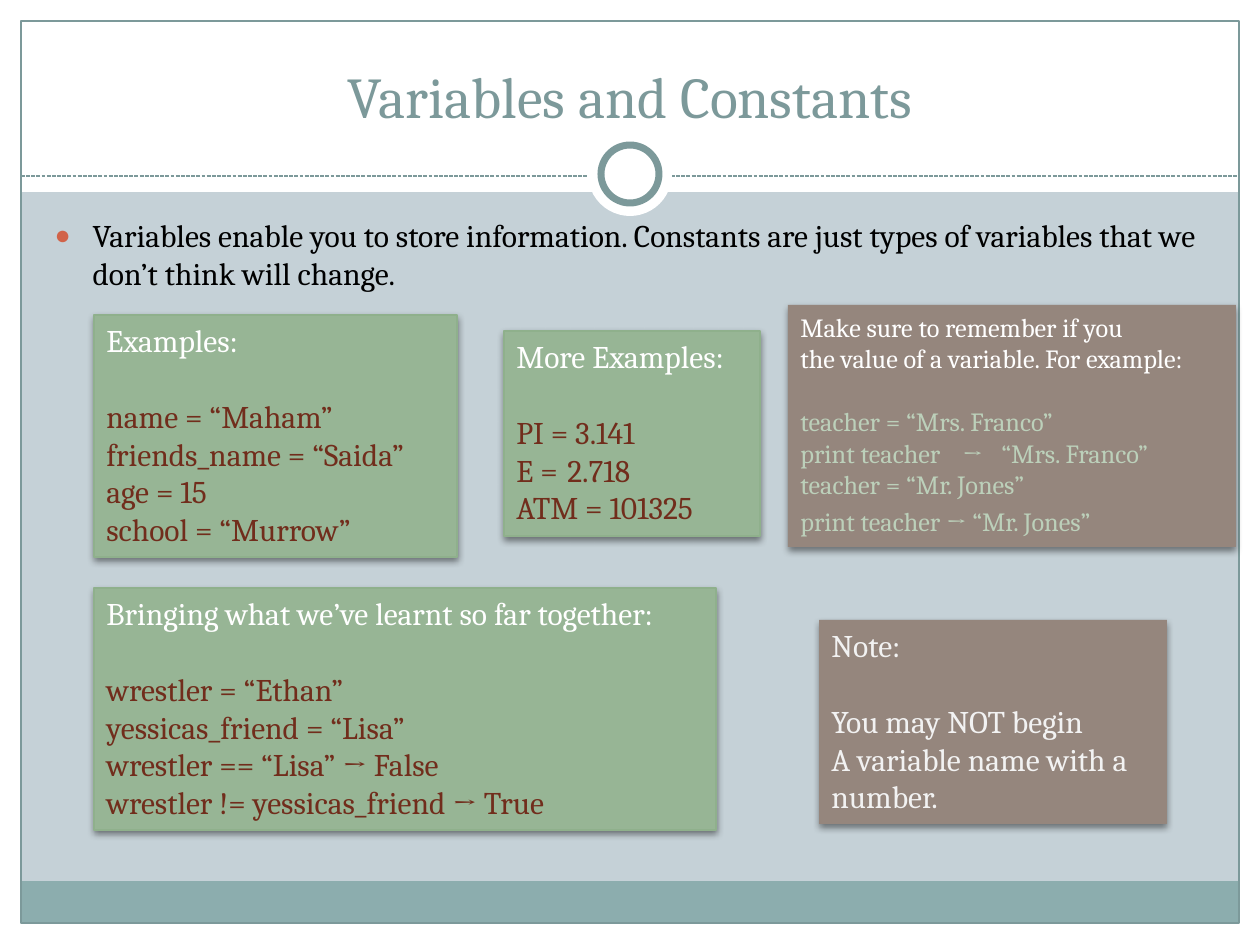
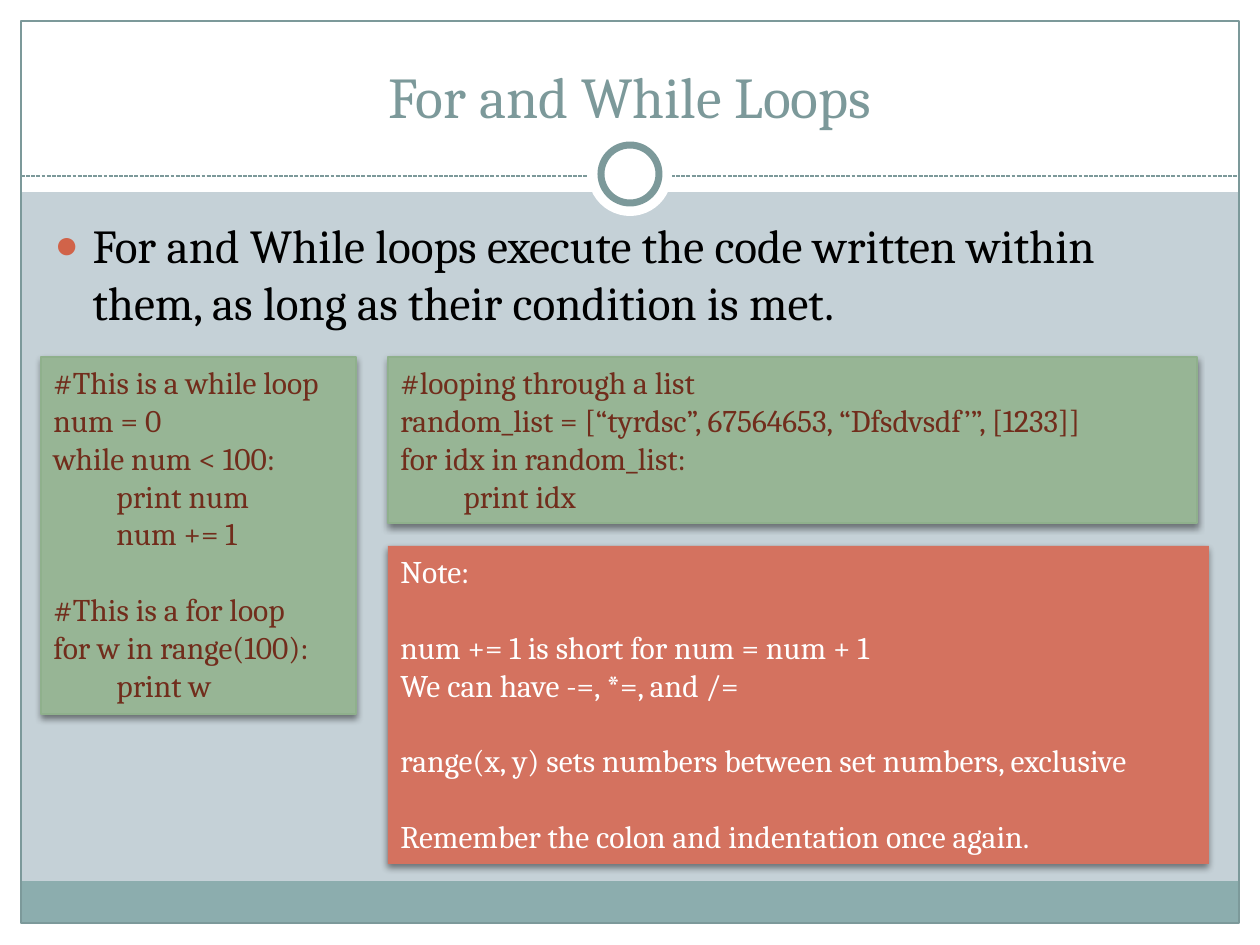
import pptx
import pptx.util
import pptx.dml.color
import pptx.enum.dml
import pptx.enum.shapes
import pptx.enum.text
import lxml.etree

EMU_PER_PX = 914400 / 126
FONT = "Cambria"
LINE_HEIGHT = 1.2

WHITE = "FFFFFF"
BACKGROUND = "C5D1D7"
TEAL = "7C999A"
FOOTER = "8CADAE"
BULLET = "D16349"
CODE = "712D1C"
PALE_CODE = "BCD0BA"

# Box styles: fill, border
GREEN = ("97B595", "8FB08C")
BROWN = ("95867D", None)
RED = ("D4725F", None)

# Layout rectangles and circles: preset, box, fill, line colour, line width
DECORATIONS = [
    ("RECTANGLE", (0, 924, 1260, 21), WHITE, None, 0),
    ("RECTANGLE", (0, 0, 1260, 192), WHITE, None, 0),
    ("RECTANGLE", (0, 0, 21, 945), WHITE, None, 0),
    ("RECTANGLE", (1239, 0, 21, 945), WHITE, None, 0),
    ("RECTANGLE", (21, 881, 1218, 43), FOOTER, None, 0),
    ("RECTANGLE", (21, 21, 1218, 902), None, TEAL, 0.75),
    ("LINE", (21, 176, 1239, 176), None, TEAL, 0.75),
    ("OVAL", (588, 132, 84, 84), WHITE, None, 0),
    ("OVAL", (601, 145, 58, 58), WHITE, TEAL, 4),
]
TITLE_BOX = (42, 32, 1176, 104)
BODY_BOX = (42, 210, 1172, 630)

# Each box holds groups of lines (colour, lines); one empty line parts the groups.
SLIDES = [
    {
        "title": "Variables and Constants",
        "body": "Variables enable you to store information. Constants are just types "
                "of variables that we don’t think will change.",
        "body_size": 18,
        "boxes": [
            {"at": (94, 315, 363, 242), "style": GREEN, "groups": [
                (WHITE, ["Examples:"]),
                (CODE, ["name = “Maham”", "friends_name = “Saida”", "age = 15",
                        "school = “Murrow”"])]},
            {"at": (504, 331, 256, 205), "style": GREEN, "tabs": [51], "groups": [
                (WHITE, ["More Examples:"]),
                (CODE, ["PI = 3.141", "E =\t2.718", "ATM = 101325"])]},
            {"at": (94, 588, 622, 242), "style": GREEN, "groups": [
                (WHITE, ["Bringing what we’ve learnt so far together:"]),
                (CODE, ["wrestler = “Ethan”", "yessicas_friend = “Lisa”",
                        "wrestler == “Lisa” → False",
                        "wrestler != yessicas_friend → True"])]},
            {"at": (819, 620, 348, 204), "style": BROWN, "groups": [
                ("F2F2F2", ["Note:"]),
                ("F2F2F2", ["You may NOT begin", "A variable name with a", "number."])]},
            {"at": (788, 305, 448, 242), "style": BROWN, "size": 15,
             "tabs": [162, 201], "last_gap": 3, "groups": [
                (WHITE, ["Make sure to remember if you",
                         "the value of a variable. For example:"]),
                (PALE_CODE, ["teacher = “Mrs. Franco”",
                             "print teacher\t→\t“Mrs. Franco”",
                             "teacher = “Mr. Jones”",
                             "print teacher → “Mr. Jones”"])]},
        ],
    },
    {
        "title": "For and While Loops",
        "body": "For and While loops execute the code written within them, as long as "
                "their condition is met.",
        "body_size": 27,
        "boxes": [
            {"at": (41, 357, 315, 357), "style": GREEN, "tabs": [63], "groups": [
                (CODE, ["#This is a while loop", "num = 0", "while num < 100:",
                        "\tprint num", "\tnum += 1"]),
                (CODE, ["#This is a for loop", "for w in range(100):", "\tprint w"])]},
            {"at": (388, 357, 809, 166), "style": GREEN, "tabs": [63], "groups": [
                (CODE, ["#looping through a list",
                        "random_list = [“tyrdsc”, 67564653, “Dfsdvsdf’”, [1233]]",
                        "for idx in random_list:", "\tprint idx"])]},
            {"at": (388, 546, 821, 318), "style": RED, "groups": [
                (WHITE, ["Note:"]),
                (WHITE, ["num += 1 is short for num = num + 1",
                         "We can have -=, *=, and /="]),
                (WHITE, ["range(x, y) sets numbers between set numbers, exclusive"]),
                (WHITE, ["Remember the colon and indentation once again."])]},
        ],
    },
]


def px(length):
    return pptx.util.Emu(round(length * EMU_PER_PX))


def rgb(code):
    return pptx.dml.color.RGBColor.from_string(code)


def add_xml(parent, tag, **attributes):
    name = pptx.oxml.ns.qn("a:" + tag)
    values = {key: str(value) for key, value in attributes.items()}
    return lxml.etree.SubElement(parent, name, values)


def paint(shape, fill, line, width=0.75):
    if fill:
        shape.fill.solid()
        shape.fill.fore_color.rgb = rgb(fill)
    else:
        shape.fill.background()
    if line:
        shape.line.color.rgb = rgb(line)
        shape.line.width = pptx.util.Pt(width)
    else:
        shape.line.fill.background()


def place(shape, box):
    shape.left, shape.top, shape.width, shape.height = map(px, box)


def write(paragraph, text, *, size, color, before=0, align="LEFT", tabs=(), bullet=None):
    paragraph.alignment = getattr(pptx.enum.text.PP_ALIGN, align)
    paragraph.space_before = pptx.util.Pt(before)
    properties = paragraph._p.get_or_add_pPr()
    if bullet:
        properties.set("marL", str(px(38)))
        properties.set("indent", str(px(-38)))
        add_xml(add_xml(properties, "buClr"), "srgbClr", val=BULLET)
        add_xml(properties, "buSzPct", val=85000)
        add_xml(properties, "buChar", char=bullet)
    if tabs:
        stops = add_xml(properties, "tabLst")
        for stop in tabs:
            add_xml(stops, "tab", pos=px(stop), algn="l")
    run = paragraph.add_run()
    run.text = text
    run.font.name = FONT
    run.font.size = pptx.util.Pt(size)
    run.font.color.rgb = rgb(color)


def decorate(layout, slide):
    """Draw the shared frame with the slide's shape tools, then move it to the layout."""
    layout.background.fill.solid()
    layout.background.fill.fore_color.rgb = rgb(BACKGROUND)
    for position, (preset, box, fill, line, width) in enumerate(DECORATIONS):
        if preset == "LINE":
            shape = slide.shapes.add_connector(
                pptx.enum.shapes.MSO_CONNECTOR.STRAIGHT, *map(px, box))
            shape.line.color.rgb = rgb(line)
            shape.line.width = pptx.util.Pt(width)
            shape.line.dash_style = pptx.enum.dml.MSO_LINE.SQUARE_DOT
            add_xml(shape.element.spPr, "effectLst")
        else:
            kind = getattr(pptx.enum.shapes.MSO_SHAPE, preset)
            shape = slide.shapes.add_shape(kind, *map(px, box))
            paint(shape, fill, line, width)
            shape.shadow.inherit = False
        layout.shapes.element.insert(2 + position, shape.element)
    for placeholder in layout.placeholders:
        index = placeholder.placeholder_format.idx
        if index in (0, 1):
            place(placeholder, (TITLE_BOX, BODY_BOX)[index])


def add_box(slide, box):
    shape = slide.shapes.add_textbox(*map(px, box["at"]))
    paint(shape, *box["style"])
    shadow = add_xml(add_xml(shape.element.spPr, "effectLst"), "outerShdw",
                     blurRad=pptx.util.Pt(4), dist=pptx.util.Pt(2), dir=5400000,
                     algn="ctr", rotWithShape=0)
    add_xml(add_xml(shadow, "srgbClr", val="000000"), "alpha", val=45000)

    frame = shape.text_frame
    frame.word_wrap = True
    size = box.get("size", 18)
    lines = [(text, color, size * LINE_HEIGHT if group and not row else 0)
             for group, (color, texts) in enumerate(box["groups"])
             for row, text in enumerate(texts)]
    for number, (text, color, before) in enumerate(lines):
        paragraph = frame.add_paragraph() if number else frame.paragraphs[0]
        if number == len(lines) - 1:
            before += box.get("last_gap", 0)
        write(paragraph, text, size=size, color=color, before=before,
              tabs=box.get("tabs", ()) if "\t" in text else ())


def fill_slide(slide, content):
    title = slide.shapes.title.text_frame
    title.vertical_anchor = pptx.enum.text.MSO_ANCHOR.BOTTOM
    write(title.paragraphs[0], content["title"], size=33, color=TEAL, align="CENTER")
    body = slide.placeholders[1].text_frame
    write(body.paragraphs[0], content["body"], size=content["body_size"],
          color="000000", bullet="●")
    for frame in (title, body):
        frame.auto_size = pptx.enum.text.MSO_AUTO_SIZE.NONE
    for box in content["boxes"]:
        add_box(slide, box)


def main():
    presentation = pptx.Presentation()
    presentation.slide_width, presentation.slide_height = px(1260), px(945)
    layout = presentation.slide_layouts[1]
    for number, content in enumerate(SLIDES):
        slide = presentation.slides.add_slide(layout)
        if number == 0:
            decorate(layout, slide)
        fill_slide(slide, content)
    presentation.save("out.pptx")


if __name__ == "__main__":
    main()
